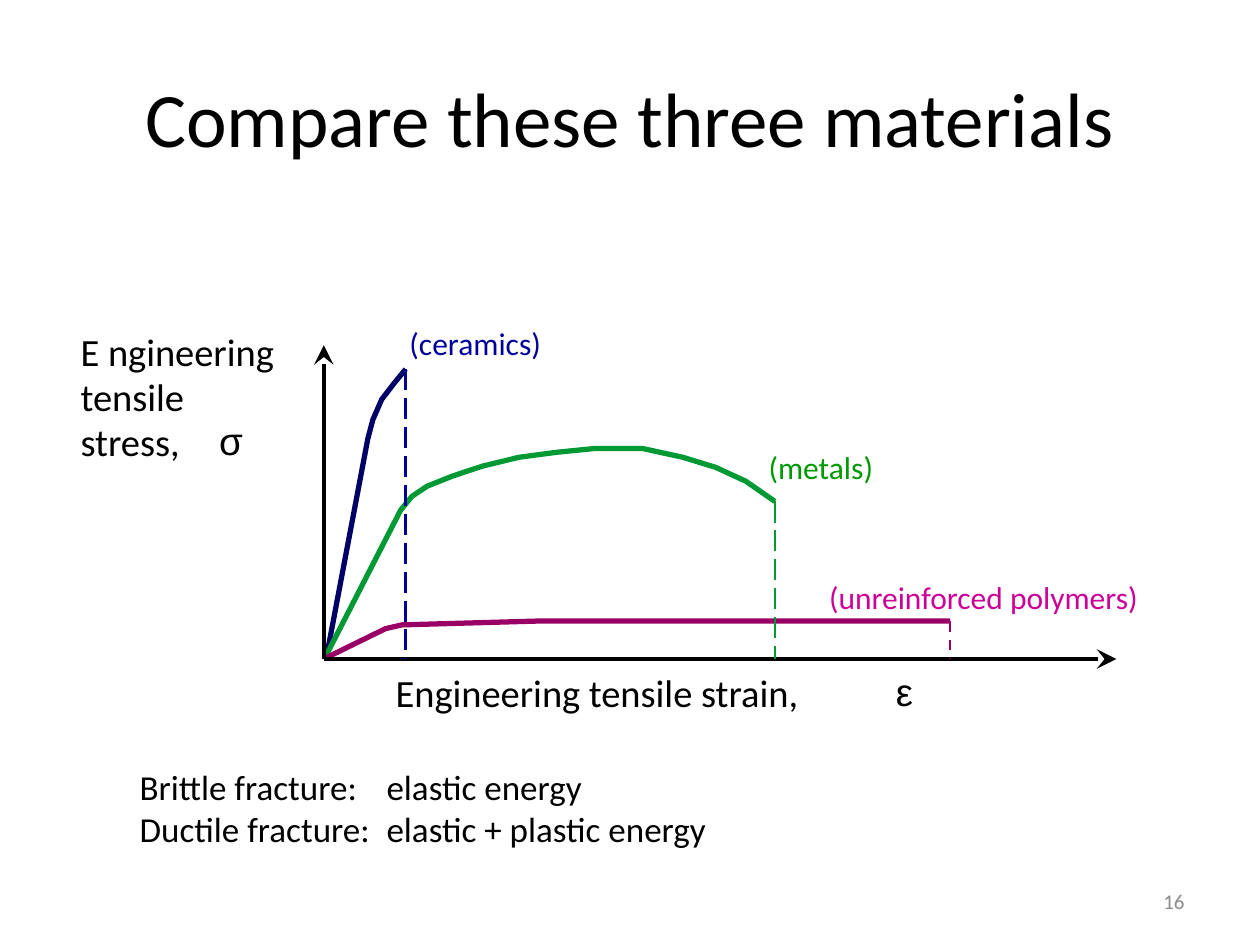
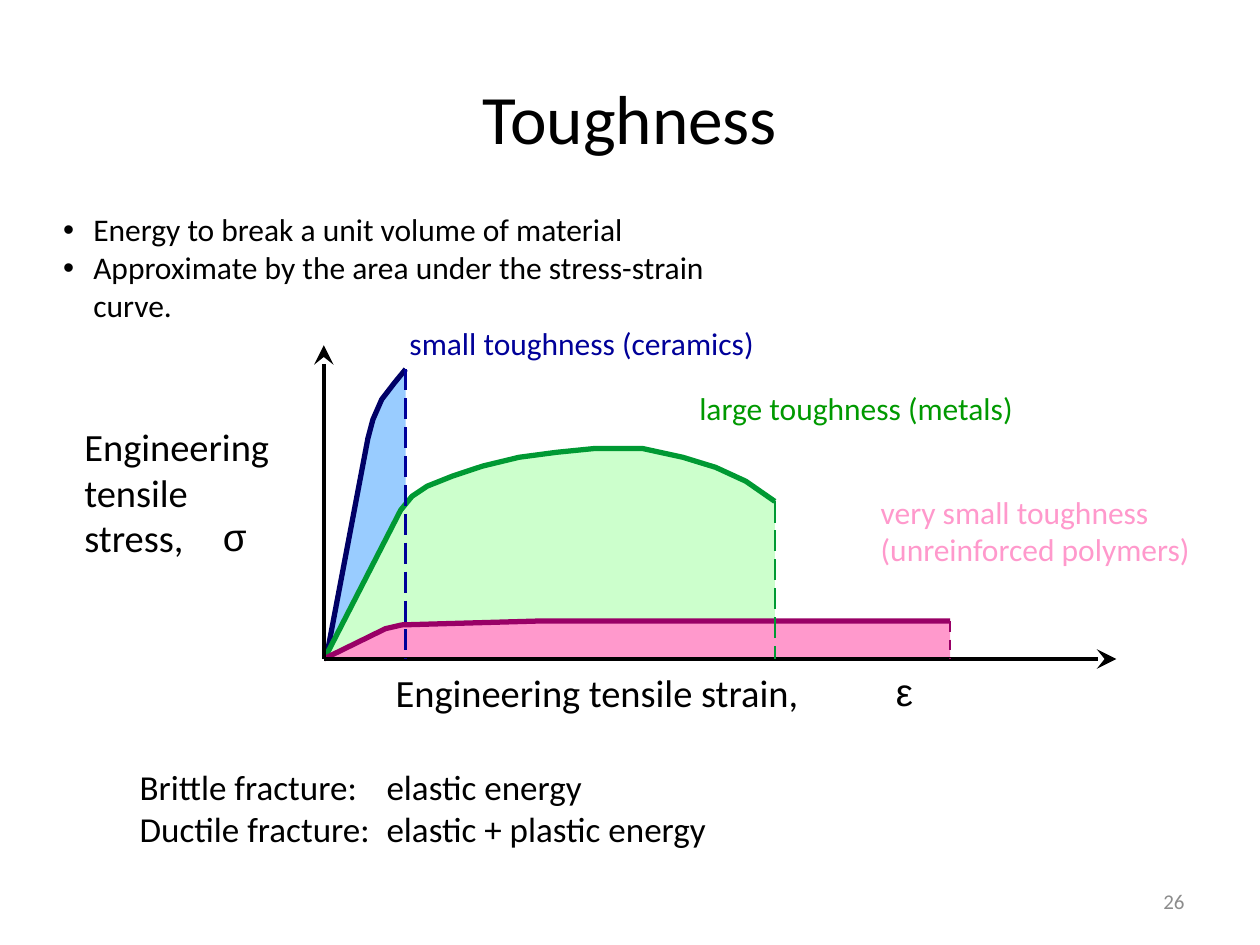
"""Build two slides that compare the stress-strain curves of three materials."""
import pptx
import pptx.dml.color
import pptx.enum.dml
import pptx.enum.shapes
import pptx.enum.text
import pptx.oxml
import pptx.oxml.ns
import pptx.util

Inches = pptx.util.Inches
Pt = pptx.util.Pt
Dash = pptx.enum.dml.MSO_LINE
Align = pptx.enum.text.PP_ALIGN
Anchor = pptx.enum.text.MSO_ANCHOR

BLACK, GREY = "000000", "8C8C8C"
PLOT_BOX = (2.57, 2.74, 6.29, 2.49)
FRACTURE_BOX = (1.01, 6.03, 7.14, 0.77)
NUMBER_BOX = (7.17, 6.95, 2.33, 0.4)
TITLE_BOX = (0.5, 0.3, 9, 1.25)

# Curve points are (strain, stress) in inches right of and above the origin.
MATERIALS = [
    {"curve": "000066", "drop": "000099", "area": "99CCFF", "dash": Dash.LONG_DASH,
     "points": [(0.02, 0.01), (0.35, 1.75), (0.39, 1.9), (0.46, 2.06),
                (0.56, 2.19), (0.65, 2.3)]},
    {"curve": "009933", "drop": "009933", "area": "CCFFCC", "dash": Dash.LONG_DASH,
     "points": [(0.01, 0.01), (0.61, 1.18), (0.7, 1.29), (0.82, 1.37), (1.02, 1.45),
                (1.26, 1.53), (1.55, 1.6), (1.85, 1.64), (2.15, 1.67), (2.53, 1.67),
                (2.85, 1.6), (3.11, 1.52), (3.35, 1.41), (3.58, 1.25)]},
    {"curve": "990066", "drop": "990066", "area": "FF99CC", "dash": Dash.DASH,
     "points": [(0, 0), (0.49, 0.24), (0.62, 0.27), (0.98, 0.28), (1.68, 0.3),
                (4.97, 0.3)]},
]


def rgb(value):
    """Return the colour of a hex string."""
    return pptx.dml.color.RGBColor.from_string(value)


def add_xml(parent, tag, **attributes):
    """Append a drawing element to a parent and return it."""
    element = pptx.oxml.parse_xml(f"<a:{tag} {pptx.oxml.ns.nsdecls('a')}/>")
    for name, value in attributes.items():
        element.set(name, str(value))
    parent.append(element)
    return element


def write(tf, text, size=18, color=BLACK, font="Calibri", align=None):
    """Fill a text frame with one formatted paragraph for each line of text."""
    tf.word_wrap = True
    tf.auto_size = pptx.enum.text.MSO_AUTO_SIZE.NONE
    for i, line in enumerate(text.split("\n")):
        p = tf.paragraphs[0] if i == 0 else tf.add_paragraph()
        p.alignment = align
        p.space_before = Pt(0)
        r = p.add_run()
        r.text = line
        r.font.size, r.font.name = Pt(size), font
        r.font.color.rgb = rgb(color)


def no_margins(tf):
    """Remove the inner margins of a text frame."""
    tf.margin_left = tf.margin_right = tf.margin_top = tf.margin_bottom = 0


def add_text(s, box, text, margins=False, **fmt):
    """Add a text box and return its text frame."""
    tf = s.shapes.add_textbox(*map(Inches, box)).text_frame
    if not margins:
        no_margins(tf)
    write(tf, text, **fmt)
    return tf


def place(sp, box):
    """Move a placeholder to a box."""
    sp.left, sp.top, sp.width, sp.height = map(Inches, box)


def add_line(s, start, end, color, width, dash=None, arrow=False):
    """Draw a straight line, with an arrowhead at its end if asked."""
    line = s.shapes.add_connector(pptx.enum.shapes.MSO_CONNECTOR.STRAIGHT,
                                  *map(Inches, start + end))
    line.line.color.rgb = rgb(color)
    line.line.width = Pt(width)
    if dash:
        line.line.dash_style = dash
    if arrow:
        add_xml(line.line._get_or_add_ln(), "tailEnd", type="stealth", w="lg", len="lg")
    add_xml(line._element.spPr, "effectLst")


def add_outline(s, points, fill=None, line=None):
    """Draw a filled closed area or an open curve through points."""
    emu = [(Inches(x), Inches(y)) for x, y in points]
    builder = s.shapes.build_freeform(*emu[0])
    builder.add_line_segments(emu[1:], close=fill is not None)
    sp = builder.convert_to_shape()
    sp.shadow.inherit = False
    if fill:
        sp.fill.solid()
        sp.fill.fore_color.rgb = rgb(fill)
        sp.line.fill.background()
    else:
        sp.fill.background()
        sp.line.color.rgb = rgb(line)
        sp.line.width = Pt(3)


def add_plot(s, box, labels, shaded):
    """Draw the axes, curves and labels, with areas under the curves if shaded."""
    left, top, width, height = box
    base = top + height
    curves = [[(left + x, base - y) for x, y in m["points"]] for m in MATERIALS]
    if shaded:
        for m, curve in zip(MATERIALS, curves):
            feet = [(curve[-1][0], base), (curve[0][0], base)]
            add_outline(s, curve + feet, fill=m["area"])
    for m, curve in zip(MATERIALS, curves):
        add_outline(s, curve, line=m["curve"])
    add_line(s, (left, base), (left + width, base), BLACK, 2.25, arrow=True)
    add_line(s, (left, base), (left, top), BLACK, 2.25, arrow=True)
    for m, curve in zip(MATERIALS, curves):
        x, y = curve[-1]
        add_line(s, (x, y), (x, base), m["drop"], 1.5, dash=m["dash"])
    for x, y, text, color in labels:
        add_text(s, (left + x, top + y, 3.1, 0.3 * len(text.split("\n"))), text, color=color)
    add_text(s, (left + 0.57, base + 0.08, 3.6, 0.37), "Engineering tensile strain,", size=22)
    add_text(s, (left + 4.54, base + 0.07, 0.3, 0.37), "ε", size=22, font="Arial")


def add_stress_label(s, left, top, lines):
    """Write the name of the stress axis line by line, with its symbol."""
    for i, line in enumerate(lines):
        add_text(s, (left, top + 0.36 * i, 1.8, 0.37), line, size=22)
    add_text(s, (left + 1.1, top + 0.71, 0.3, 0.37), "σ", size=22, font="Arial")


def add_fracture_notes(s, box):
    """Write the two fracture energies, aligned at a tab stop."""
    tf = add_text(s, box, "Brittle fracture:\telastic energy\n"
                          "Ductile fracture:\telastic + plastic energy", margins=True, size=20)
    for p in tf.paragraphs:
        tabs = add_xml(p._p.get_or_add_pPr(), "tabLst")
        add_xml(tabs, "tab", pos=Inches(1.96), algn="l")


def add_bullets(sp, box, text):
    """Move the body placeholder to a box and fill it with a bulleted list."""
    place(sp, box)
    tf = sp.text_frame
    no_margins(tf)
    write(tf, text)
    for p in tf.paragraphs:
        pPr = p._p.get_or_add_pPr()
        pPr.set("marL", str(Inches(0.24)))
        pPr.set("indent", str(-Inches(0.24)))


def add_material_slide(prs, layout, title, title_size, number, labels, shaded=False):
    """Add a slide with the title, plot, fracture notes and number."""
    s = prs.slides.add_slide(prs.slide_layouts[layout])
    place(s.shapes.title, TITLE_BOX)
    write(s.shapes.title.text_frame, title, size=title_size, align=Align.CENTER)
    add_plot(s, PLOT_BOX, labels, shaded)
    add_fracture_notes(s, FRACTURE_BOX)
    tf = add_text(s, NUMBER_BOX, number, margins=True, size=12, color=GREY, align=Align.RIGHT)
    tf.vertical_anchor = Anchor.MIDDLE
    return s


def main():
    """Build and save the presentation."""
    prs = pptx.Presentation()
    prs.slide_width, prs.slide_height = Inches(10), Inches(7.5)

    s = add_material_slide(prs, 5, "Compare these three materials", 44, "16", [
        (0.68, -0.17, "(ceramics)", "000099"),
        (3.53, 0.82, "(metals)", "009900"),
        (4.01, 1.85, "(unreinforced polymers)", "CC0099")])
    add_stress_label(s, 0.64, 2.6, ["E ngineering", "tensile", "stress,"])

    s = add_material_slide(prs, 1, "Toughness", 39.6, "26", [
        (0.68, -0.17, "small toughness (ceramics)", "000099"),
        (2.98, 0.35, "large toughness (metals)", "009900"),
        (4.42, 1.17, "very small toughness\n(unreinforced polymers)", "FF99CC")], shaded=True)
    add_stress_label(s, 0.67, 3.36, ["Engineering", "tensile", "stress,"])
    add_bullets(s.placeholders[1], (0.5, 1.67, 5.4, 1.2),
                "Energy to break a unit volume of material\n"
                "Approximate by the area under the stress-strain curve.")

    prs.save("out.pptx")


if __name__ == "__main__":
    main()
